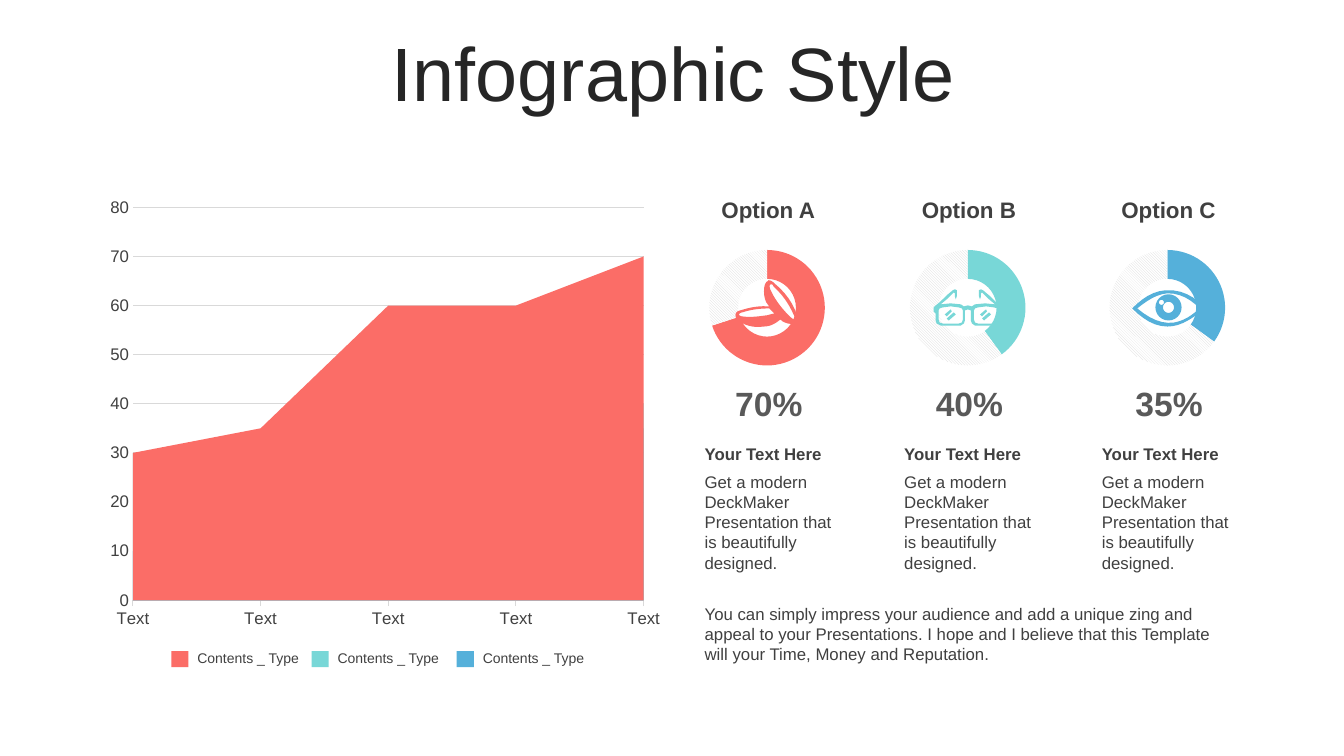
from dataclasses import dataclass
import math

from lxml import etree
from pptx import Presentation
from pptx import util as u
from pptx.chart.data import CategoryChartData
from pptx.dml.color import RGBColor
from pptx.enum import chart as ch, dml, shapes, text
from pptx.oxml.ns import qn

PX = 9144


@dataclass(frozen=True)
class Theme:
    """Colours, type sizes and font of the slide."""
    font: str = "Arial"
    red: str = "FB6D67"
    teal: str = "78D7D7"
    blue: str = "55B0DA"
    title: str = "262626"
    ink: str = "404040"
    gray: str = "595959"
    rule: str = "D9D9D9"
    white: str = "FFFFFF"
    huge: int = 54
    big: int = 24
    head: int = 16
    body: int = 12
    small: int = 10


T = Theme()
LEFT, RIGHT = text.PP_ALIGN.LEFT, text.PP_ALIGN.RIGHT
MID = text.PP_ALIGN.CENTER

BEANS = [
    [(763, 306), (754, 306), (745, 307), (736, 310), (735, 310), (733, 311), (733, 312),
     (733, 313), (735, 314), (737, 314), (744, 315), (752, 314), (759, 313),
     (761, 313), (763, 312), (768, 311), (766, 309), (764, 307), (763, 306)],
    [(765, 282), (763, 282), (763, 284), (764, 287), (767, 294), (771, 300), (776, 306),
     (781, 312), (786, 317), (788, 317), (789, 317), (789, 315), (788, 314),
     (783, 302), (776, 292), (767, 284), (767, 283), (766, 282), (765, 282)],
    [(762, 278), (764, 278), (766, 279), (768, 281), (779, 290), (787, 301), (791, 314),
     (792, 316), (792, 320), (789, 321), (784, 322), (778, 321), (774, 317),
     (768, 322), (763, 324), (757, 324), (750, 325), (743, 324), (737, 321),
     (734, 320), (732, 318), (730, 315), (729, 313), (729, 309), (734, 308),
     (741, 306), (750, 303), (763, 304), (762, 303), (761, 301), (760, 300),
     (757, 294), (757, 283), (760, 280), (761, 279), (762, 279), (762, 278)],
]
EYE = [
    [(1123, 306), (1133, 296), (1143, 289), (1156, 288), (1172, 287), (1184, 294),
     (1194, 304), (1195, 305), (1195, 306), (1194, 307), (1178, 320), (1168, 324),
     (1158, 324), (1145, 324), (1134, 317), (1123, 306)],
    [(1128, 306), (1138, 298), (1147, 292), (1158, 291), (1171, 291), (1181, 297),
     (1190, 306), (1182, 313), (1175, 318), (1165, 320), (1152, 322), (1140, 316),
     (1128, 306)],
]
FRAME = [
    (960, 303), (956, 304), (953, 302), (943, 301), (933, 302), (939, 297), (946, 290),
    (947, 291), (947, 294), (948, 297), (949, 294), (949, 288), (947, 287), (945, 288),
    (939, 293), (933, 299), (927, 304), (926, 305), (926, 309), (928, 311), (928, 318),
    (929, 321), (933, 323), (953, 323), (956, 321), (957, 318), (957, 308), (960, 307),
]
LENS = [
    [(931, 308), (932, 306), (935, 305), (943, 304), (951, 305), (954, 306), (955, 308),
     (955, 317), (954, 320), (951, 321), (935, 321), (932, 320), (931, 317)],
    [(946, 310), (948, 312), (941, 318), (939, 316)],
    [(943, 307), (944, 309), (939, 314), (937, 312)],
]


def rgb(hue):
    """Turn a hex string into a colour."""
    return RGBColor.from_string(hue)


def bend(pts, steps=6):
    """Flatten a chain of cubic curves."""
    out = [pts[0]]
    for i in range(0, len(pts) - 1, 3):
        for n in range(1, steps + 1):
            t = n / steps
            ws = ((1 - t) ** 3, 3 * t * (1 - t) ** 2, 3 * t * t * (1 - t), t ** 3)
            out.append(tuple(sum(w * p[k] for w, p in zip(ws, pts[i:i + 4])) for k in (0, 1)))
    return out


def ring(x, y, r, count=24):
    """Return points around a circle."""
    turns = [math.tau * n / count for n in range(count)]
    return [(x + r * math.cos(a), y + r * math.sin(a)) for a in turns]


def glasses():
    """Return the loops of the glasses."""
    frame = FRAME + [(1920 - x, y) for x, y in reversed(FRAME)]
    return [frame] + [[(x + dx, y) for x, y in loop] for dx in (0, 35) for loop in LENS]


def paint(shape, hue):
    """Give a shape a flat fill, no line and no shadow."""
    shape.shadow.inherit = False
    shape.fill.solid()
    shape.fill.fore_color.rgb = rgb(hue)
    shape.line.fill.background()


def icon(slide, loops, hue):
    """Draw closed loops as one outline."""
    loops = [[(round(x * PX), round(y * PX)) for x, y in loop] for loop in loops]
    pen = slide.shapes.build_freeform(*loops[0][0], scale=1.0)
    for n, loop in enumerate(loops):
        if n:
            pen.move_to(*loop[0])
        pen.add_line_segments(loop[1:], close=True)
    paint(pen.convert_to_shape(), hue)


def style(font, size, hue, bold=False):
    """Set the look of a font."""
    font.name, font.size, font.bold = T.font, u.Pt(size), bold
    font.color.rgb = rgb(hue)


def label(slide, box, words, size=T.body, hue=T.ink, bold=False, align=LEFT, mid=False):
    """Add a wrapped text box and return its paragraph."""
    frame = slide.shapes.add_textbox(*(v * PX for v in box)).text_frame
    frame.word_wrap = True
    frame.vertical_anchor = text.MSO_ANCHOR.MIDDLE if mid else text.MSO_ANCHOR.TOP
    para = frame.paragraphs[0]
    para.text, para.alignment = words, align
    style(para.font, size, hue, bold)
    return para


def plot(slide, kind, box, cats, rows):
    """Add a bare chart."""
    data = CategoryChartData()
    data.categories = cats
    for n, row in enumerate(rows, 1):
        data.add_series(f"Series {n}", row)
    chart = slide.shapes.add_chart(kind, *(v * PX for v in box), data).chart
    chart.has_legend = chart.has_title = False
    style(chart.font, T.small, T.ink)
    return chart


def donut(slide, x, share, hue):
    """Add a ring chart showing one share."""
    chart = plot(slide, ch.XL_CHART_TYPE.DOUGHNUT, (x, 248, 118, 122),
                 ("1", "2"), [(share, 100 - share)])
    part, rest = (chart.plots[0].series[0].points[n].format.fill for n in (0, 1))
    part.solid()
    part.fore_color.rgb = rgb(hue)
    rest.patterned()
    rest.pattern = dml.MSO_PATTERN.LIGHT_DOWNWARD_DIAGONAL
    rest.fore_color.rgb, rest.back_color.rgb = rgb(T.rule), rgb(T.white)
    root = chart.plots[0]._element
    root.find(qn("c:holeSize")).set("val", "85")
    area = root.getparent()
    for old in area.findall(qn("c:layout")):
        area.remove(old)
    layout = etree.Element(qn("c:layout"))
    area.insert(0, layout)
    manual = etree.SubElement(layout, qn("c:manualLayout"))
    for tag, val in (("layoutTarget", "inner"), ("xMode", "edge"), ("yMode", "edge"),
                     ("x", "0"), ("y", "0"), ("w", "0.98"), ("h", "0.94")):
        etree.SubElement(manual, qn("c:" + tag)).set("val", val)


def trend(slide):
    """Add the area chart."""
    rows = [(30, 35, 60, 60, 70), (30, 25, 35, 30, 40), (10, 15, 25, 30, 35)]
    chart = plot(slide, ch.XL_CHART_TYPE.AREA, (98, 188, 568, 444), ["Text"] * 5, rows)
    for row, hue in zip(chart.plots[0].series, (T.red, T.teal, T.blue)):
        row.format.fill.solid()
        row.format.fill.fore_color.rgb = rgb(hue)
    cat, val = chart.category_axis, chart.value_axis
    for axis in (cat, val):
        style(axis.tick_labels.font, T.body, T.ink)
    cat.has_major_gridlines, val.has_major_gridlines = False, True
    cat.major_tick_mark, val.major_tick_mark = ch.XL_TICK_MARK.OUTSIDE, ch.XL_TICK_MARK.NONE
    val.format.line.fill.background()
    for line in (cat.format.line, val.major_gridlines.format.line):
        line.color.rgb, line.width = rgb(T.rule), u.Pt(0.75)
    val._element.find(qn("c:crossBetween")).set("val", "midCat")


def key(slide, x, hue):
    """Add one legend entry."""
    box = (v * PX for v in (x, 646, 17, 16))
    paint(slide.shapes.add_shape(shapes.MSO_SHAPE.RECTANGLE, *box), hue)
    label(slide, (x + 16, 639, 126, 27), "Contents _ Type", T.small, mid=True)


def option(slide, x, left, name, share, hue):
    """Add one option column."""
    label(slide, (x - 23, 190, 164, 37), name, T.head, bold=True, align=MID)
    donut(slide, x, share, hue)
    label(slide, (x + 12, 375, 95, 50), f"{share}%", T.big, T.gray, True, MID, True)
    label(slide, (left, 435, 147, 30), "Your Text Here", bold=True)
    label(slide, (left, 463, 147, 111),
          "Get a modern DeckMaker Presentation that is beautifully designed.")


def main():
    """Build and save the slide."""
    deck = Presentation()
    deck.slide_width, deck.slide_height = 1333 * PX, 750 * PX
    slide = deck.slides.add_slide(deck.slide_layouts[6])
    head = label(slide, (35, 37, 1266, 79), "Infographic Style", T.huge, T.title,
                 align=MID, mid=True)
    head.line_spacing = 0.9
    trend(slide)
    for x, hue in ((170, T.red), (309, T.teal), (453, T.blue)):
        key(slide, x, hue)
    option(slide, 703, 689, "Option A", 70, T.red)
    option(slide, 902, 887, "Option B", 40, T.teal)
    option(slide, 1100, 1083, "Option C", 35, T.blue)
    label(slide, (689, 594, 529, 71),
          "You can simply impress your audience and add a unique zing and appeal to your "
          "Presentations. I hope and I believe that this Template will your Time, Money "
          "and Reputation.")
    icon(slide, [bend(loop) for loop in BEANS], T.red)
    icon(slide, glasses(), T.teal)
    iris = [ring(1159, 305, 13), ring(1159, 305, 5.5), ring(1152, 300, 2.5)]
    icon(slide, [bend(loop) for loop in EYE] + iris, T.blue)
    deck.save("out.pptx")


if __name__ == "__main__":
    main()
